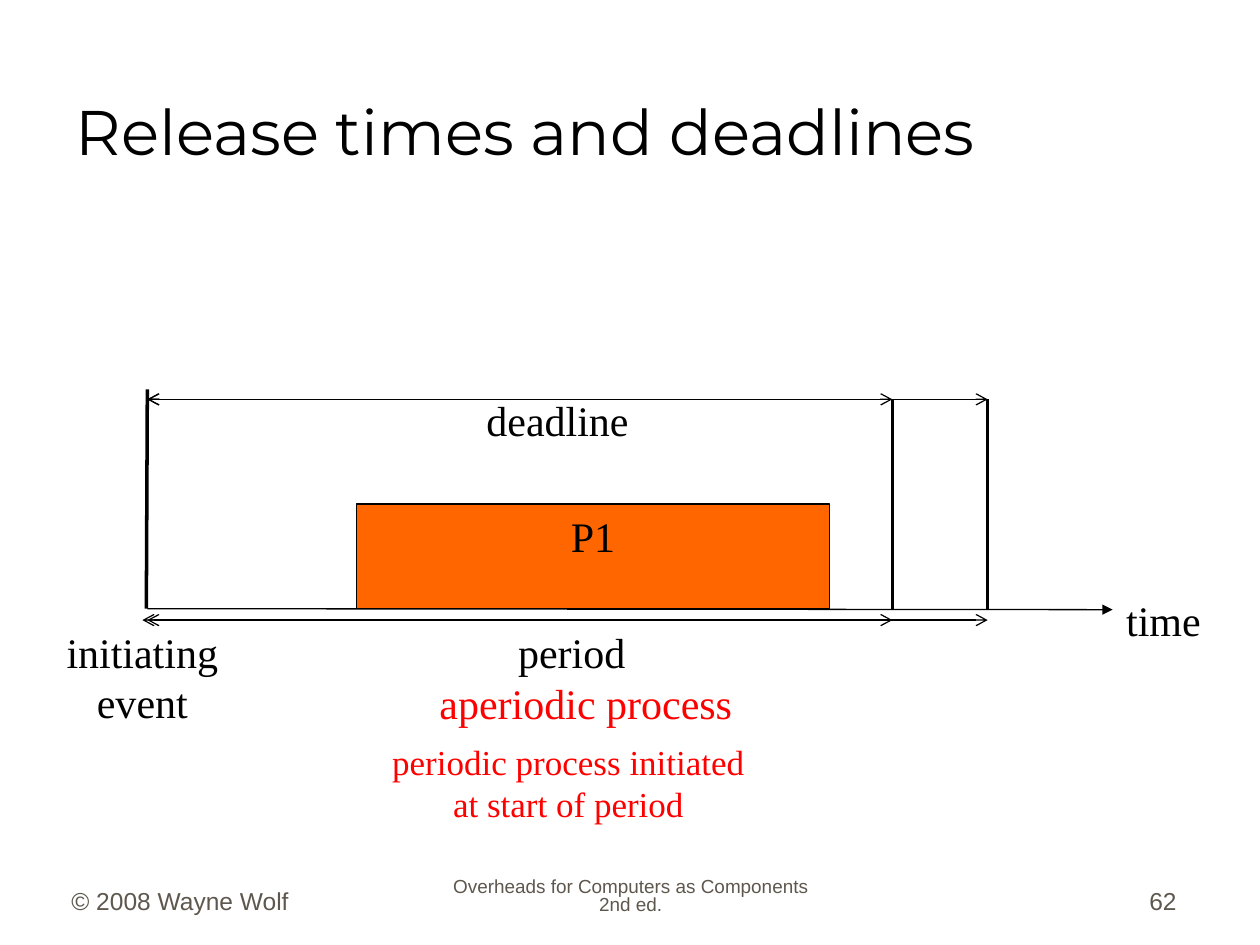
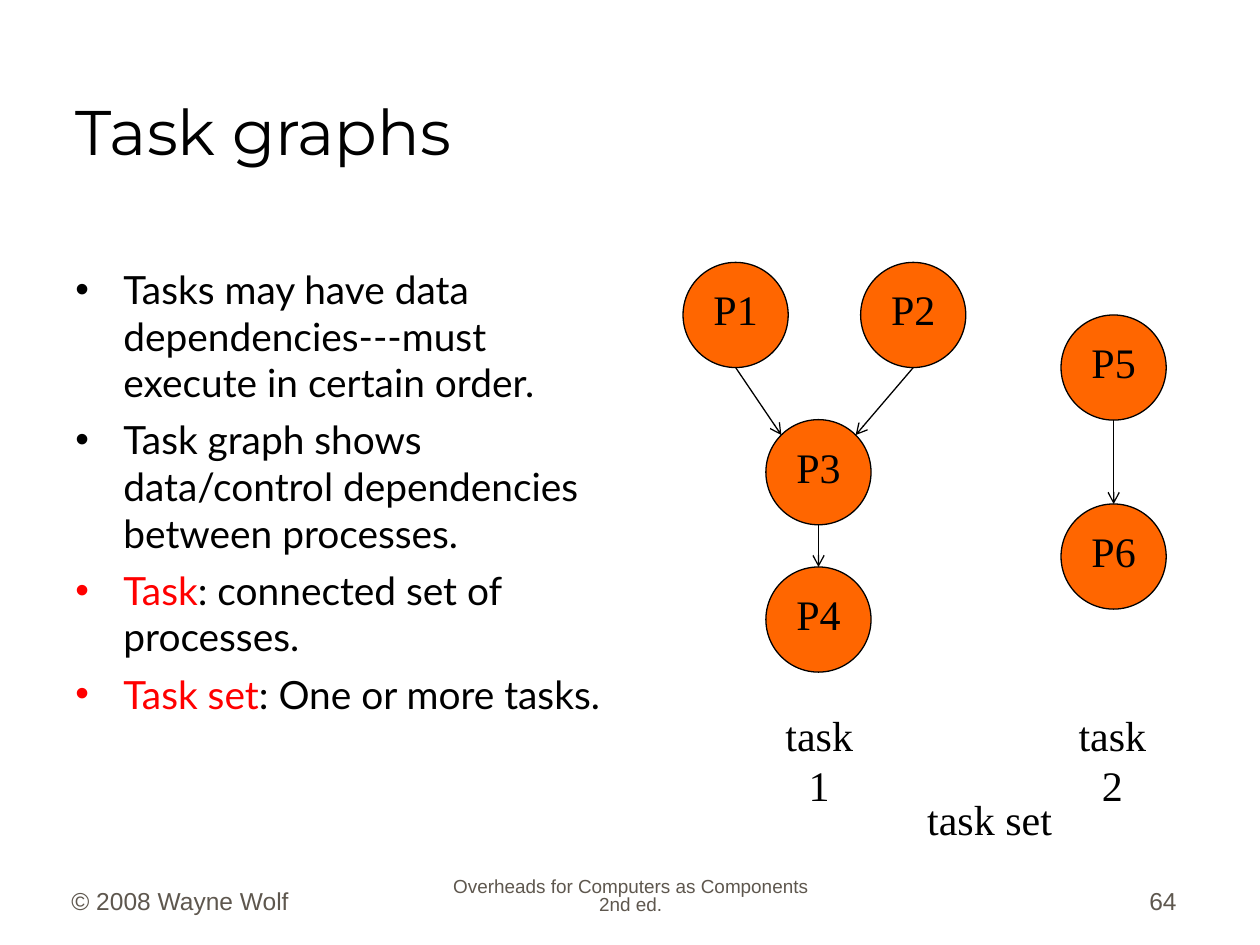
from lxml.etree import SubElement
from pptx import Presentation
from pptx.dml.color import RGBColor
from pptx.enum.shapes import MSO_CONNECTOR, MSO_SHAPE
from pptx.enum.text import MSO_ANCHOR, MSO_AUTO_SIZE, PP_ALIGN
from pptx.oxml.ns import qn
from pptx.util import Cm, Pt

COLOURS = {"ink": "000000", "accent": "FF0000", "process": "FF6600", "footer": "5E574E"}
FONTS = {
    "title": {"name": "Montserrat", "size": Pt(36)},
    "body": {"name": "Lato", "size": Pt(22.2)},
    "label": {"name": "Times New Roman", "size": Pt(24)},
    "note": {"name": "Times New Roman", "size": Pt(20)},
    "footer": {"name": "Arial", "size": Pt(14)},
    "small footer": {"name": "Arial", "size": Pt(10.8)},
}
TITLE_PLACE = (1.27, 0.64, 22.66, 2.74)
BULLET_INDENT = 0.97
THIN, THICK = 0.75, 2
DIAMETER = 2.12
DIAGONAL_INSET = DIAMETER / 2 * (1 - 0.5 ** 0.5)


def colour(name):
    return RGBColor.from_string(COLOURS[name])


def set_all(target, values):
    for name, value in values.items():
        setattr(target, name, value)


class Deck:
    """Holds the presentation, its style and the slide being filled."""

    def __init__(self):
        self.presentation = Presentation()
        set_all(self.presentation, {"slide_width": Cm(25.4), "slide_height": Cm(19.05)})
        self.page = None

    def new_page(self, title, number):
        layout = self.presentation.slide_layouts[5]
        self.page = self.presentation.slides.add_slide(layout)
        box = self.page.shapes.title
        places = map(Cm, TITLE_PLACE)
        set_all(box, dict(zip(("left", "top", "width", "height"), places)))
        self.fill_text(box.text_frame, [title], "title", anchor=MSO_ANCHOR.BOTTOM)
        box.text_frame.margin_bottom = 0
        self.footers(number)

    def footers(self, number):
        parts = (
            ("© 2008 Wayne Wolf", 1.19, 5.28, "footer", PP_ALIGN.LEFT, 1),
            ("Overheads for Computers as Components 2nd ed.", 8.69, 8.05,
             "small footer", PP_ALIGN.CENTER, 0.8),
            (str(number), 18.69, 5.28, "footer", PP_ALIGN.RIGHT, 1),
        )
        for words, left, width, font, align, spacing in parts:
            box = self.text_box((left, 17.3, width, 1.27))
            self.fill_text(box.text_frame, [words], font, "footer", align, MSO_ANCHOR.BOTTOM,
                           space_before=Pt(8.8), line_spacing=spacing)

    def text_box(self, place):
        return self.page.shapes.add_textbox(*map(Cm, place))

    def fill_text(self, frame, lines, font, ink="ink", align=PP_ALIGN.LEFT,
                  anchor=MSO_ANCHOR.TOP, **spacing):
        """Add one paragraph per line; a line is a string or (text, ink) pairs."""
        set_all(frame, {"word_wrap": True, "auto_size": MSO_AUTO_SIZE.NONE,
                        "vertical_anchor": anchor})
        for index, line in enumerate(lines):
            para = frame.add_paragraph() if index else frame.paragraphs[0]
            set_all(para, {"alignment": align, **spacing})
            for words, span_ink in [(line, ink)] if isinstance(line, str) else line:
                span = para.add_run()
                span.text = words
                set_all(span.font, FONTS[font])
                span.font.color.rgb = colour(span_ink)

    def label(self, lines, place, font="label", ink="ink", align=PP_ALIGN.CENTER):
        frame = self.text_box(place).text_frame
        self.fill_text(frame, lines, font, ink, align)
        set_all(frame, {"word_wrap": False, "auto_size": MSO_AUTO_SIZE.SHAPE_TO_FIT_TEXT})

    def bullets(self, lines, place):
        frame = self.text_box(place).text_frame
        self.fill_text(frame, lines, "body", space_before=Pt(6))
        for para, line in zip(frame.paragraphs, lines):
            properties = para._p.get_or_add_pPr()
            properties.set("marL", str(Cm(BULLET_INDENT)))
            properties.set("indent", str(-Cm(BULLET_INDENT)))
            tint = SubElement(properties, qn("a:buClr"))
            SubElement(tint, qn("a:srgbClr"), val=COLOURS[line[0][1]])
            SubElement(properties, qn("a:buFont"), typeface="Arial")
            SubElement(properties, qn("a:buChar"), char="•")

    def process(self, name, preset, place):
        box = self.page.shapes.add_shape(preset, *map(Cm, place))
        box.shadow.inherit = False
        box.fill.solid()
        box.fill.fore_color.rgb = colour("process")
        box.line.color.rgb = colour("ink")
        box.line.width = Pt(THIN)
        self.fill_text(box.text_frame, [name], "label", align=PP_ALIGN.CENTER)

    def line(self, start, end, width=THIN, head=None, tail=None):
        connector = self.page.shapes.add_connector(
            MSO_CONNECTOR.STRAIGHT, *map(Cm, (*start, *end)))
        connector.line.color.rgb = colour("ink")
        connector.line.width = Pt(width)
        outline = connector.line._get_or_add_ln()
        for tag, kind in (("a:headEnd", head), ("a:tailEnd", tail)):
            if kind:
                SubElement(outline, qn(tag), type=kind)
        SubElement(connector._element.spPr, qn("a:effectLst"))


def release_times(deck):
    deck.new_page("Release times and deadlines", 62)
    event, early_end, late_end = 2.97, 17.99, 19.91
    top, axis, below = 8.05, 12.27, 12.5

    deck.line((event, axis), (22.43, axis + 0.02), tail="triangle")
    deck.line((event, 7.85), (event - 0.02, axis), THICK)
    deck.process("P1", MSO_SHAPE.RECTANGLE, (7.19, 10.16, 9.53, 2.11))
    for end, period_start in ((late_end, event - 0.1), (early_end, event)):
        deck.line((end, top), (end, axis), THICK)
        for start, height in ((event, top), (period_start, below)):
            deck.line((start, height), (end, height), head="arrow", tail="arrow")

    deck.label(["time"], (22.45, 11.86, 2.01, 1.27))
    deck.label(["initiating", "event"], (1.09, below, 3.56, 2.29))
    deck.label(["deadline"], (9.55, 7.82, 3.38, 1.27))
    deck.label(["period"], (10.19, below, 2.67, 1.27))
    deck.label(["aperiodic process"], (8.61, 13.54, 6.4, 1.27), ink="accent")
    deck.label(["periodic process initiated", "at start of period"],
               (7.65, 14.81, 7.62, 1.96), "note", "accent")


def task_graphs(deck):
    deck.new_page("Task graphs", 64)
    deck.bullets([
        [("Tasks may have data dependencies---must execute in certain order.", "ink")],
        [("Task graph shows data/control dependencies between processes.", "ink")],
        [("Task", "accent"), (": connected set of processes.", "ink")],
        [("Task set", "accent"), (": One or more tasks.", "ink")],
    ], (1.27, 5.23, 11.15, 11.58))

    corners = {"P1": (13.77, 5.29), "P2": (17.35, 5.29), "P3": (15.44, 8.46),
               "P4": (15.44, 11.43), "P5": (21.39, 6.35), "P6": (21.39, 10.16)}
    for name, corner in corners.items():
        deck.process(name, MSO_SHAPE.OVAL, (*corner, DIAMETER, DIAMETER))

    # Each arrival is measured from the target circle's top left corner.
    top_middle = (DIAMETER / 2, 0)
    upper_left = (DIAGONAL_INSET, DIAGONAL_INSET)
    upper_right = (DIAMETER - DIAGONAL_INSET, DIAGONAL_INSET)
    for source, target, arrival in (("P1", "P3", upper_left), ("P2", "P3", upper_right),
                                    ("P3", "P4", top_middle), ("P5", "P6", top_middle)):
        left, top = corners[source]
        end = [corner + offset for corner, offset in zip(corners[target], arrival)]
        deck.line((left + DIAMETER / 2, top + DIAMETER), end, tail="arrow")

    for words, left, top, width in (("task 1", 15.27, 14.17, 2.49),
                                    ("task 2", 21.18, 14.17, 2.49),
                                    ("task set", 18.44, 15.88, 3.02)):
        deck.label([words], (left, top, width, 1.27))


def main():
    deck = Deck()
    release_times(deck)
    task_graphs(deck)
    deck.presentation.save("out.pptx")


if __name__ == "__main__":
    main()
